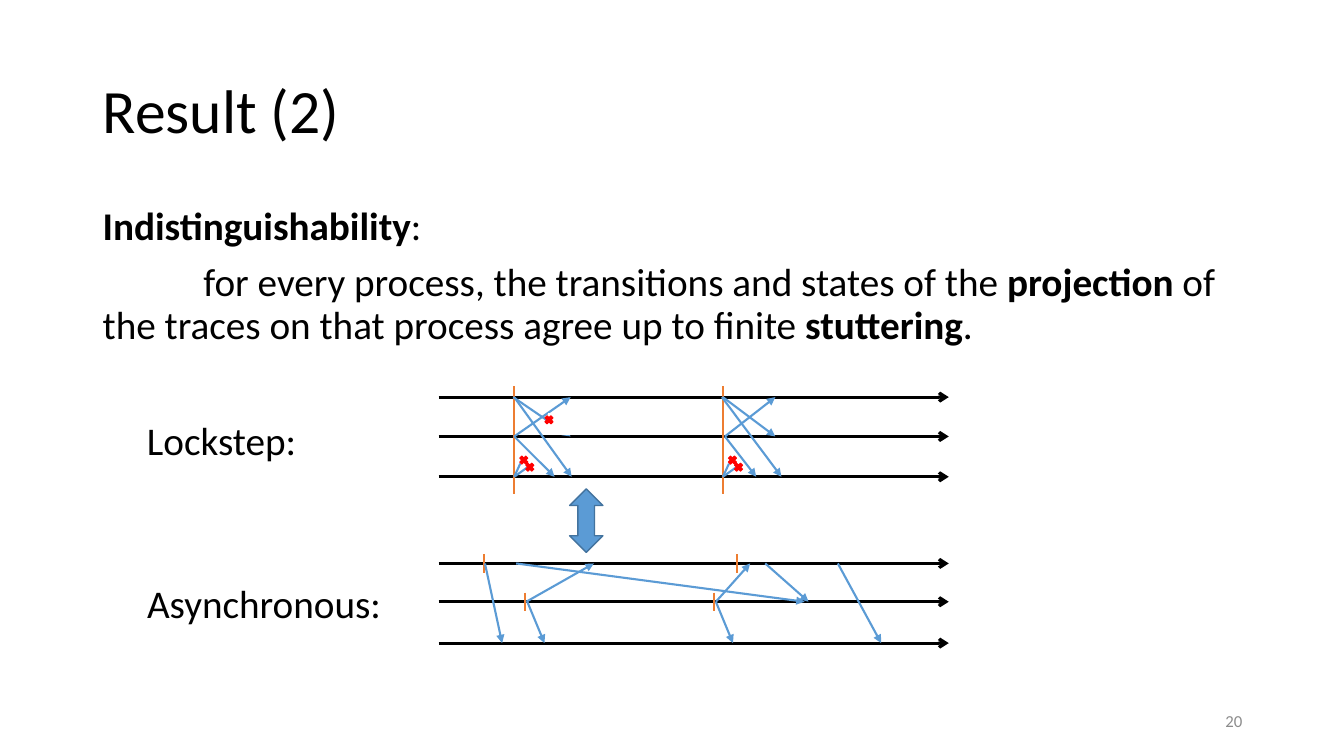
from lxml import etree
from pptx import Presentation
from pptx import util as u
from pptx.dml.color import RGBColor
from pptx.enum import shapes, text
from pptx.oxml.ns import qn

# Content: each paragraph is a list of (wording, bold)
TITLE = [[("Result (2)", False)]]
BODY = [
    [("Indistinguishability", True), (":", False)],
    [("for every process, the transitions and states of the ", False),
     ("projection", True),
     (" of the traces on that process agree up to finite ", False),
     ("stuttering", True), (".", False)],
]
NUMBER = [[("20", False)]]
LABELS = [("Lockstep:", 4.08, 1.7), ("Asynchronous:", 5.7, 2.55)]

BLACK, GREY, WHITE, RED = "000000", "8C8C8C", "FFFFFF", "FF0000"
BLUE, DARK_BLUE, ORANGE = "5B9BD5", "43739E", "ED7D31"

# Height of the three process lines in each diagram
LOCKSTEP, ASYNC = (3.94, 4.33, 4.73), (5.59, 5.97, 6.38)
LINE_START, LINE_LENGTH = 4.35, 5.06
ROUNDS = (5.1, 7.17)

# Messages: start x, sending process, end x, receiving process
LOCKSTEP_MESSAGES = [
    (5.1, 0, 5.67, 2), (5.1, 1, 5.66, 0), (5.1, 1, 5.5, 2), (5.09, 0, 5.66, 1),
    (7.16, 0, 7.75, 2), (7.19, 1, 7.69, 0), (7.19, 1, 7.5, 2), (7.17, 0, 7.69, 1),
]
ASYNC_MESSAGES = [
    (4.81, 0, 4.98, 2), (5.12, 0, 7.98, 1), (5.23, 1, 5.4, 2), (5.22, 1, 5.89, 0),
    (7.1, 1, 7.27, 2), (7.1, 1, 7.44, 0), (7.59, 0, 8.02, 1), (8.31, 0, 8.74, 2),
]
ASYNC_TICKS = [(4.8, 0), (5.21, 1), (7.31, 0), (7.08, 1)]
TICK = 0.09
CROSS = 0.11
# Lost messages: end of the stub and corner of the cross, from the sender
LOST = [((0.06, -0.13), (0.04, -0.22)), ((0.14, -0.1), (0.1, -0.15))]

deck = Presentation()
deck.slide_width, deck.slide_height = u.Inches(13.33), u.Inches(7.5)
page = deck.slides.add_slide(deck.slide_layouts[6])


def color(value):
    return RGBColor.from_string(value)


def apply(target, values):
    for name, value in values.items():
        setattr(target, name, value)


def add_text(place, content, size, fill=BLACK, frame_format=None, **para_format):
    box = page.shapes.add_textbox(*map(u.Inches, place))
    frame = box.text_frame
    apply(frame, {"word_wrap": True, **(frame_format or {})})
    for index, spans in enumerate(content):
        para = frame.add_paragraph() if index else frame.paragraphs[0]
        apply(para, para_format)
        for wording, bold in spans:
            span = para.add_run()
            span.text = wording
            apply(span.font, {"size": u.Pt(size), "name": "Calibri", "bold": bold})
            span.font.color.rgb = color(fill)
    return frame


def add_line(start, end, stroke, width=1.5, head=None):
    line = page.shapes.add_connector(
        shapes.MSO_CONNECTOR.STRAIGHT, *map(u.Inches, (*start, *end)))
    line.line.color.rgb = color(stroke)
    line.line.width = u.Pt(width)
    properties = line.line._get_or_add_ln()
    if head:
        etree.SubElement(properties, qn("a:tailEnd"), type=head)
    etree.SubElement(line._element.spPr, qn("a:effectLst"))


def add_shape(kind, place, fill, stroke):
    shape = page.shapes.add_shape(kind, *map(u.Inches, place))
    shape.shadow.inherit = False
    shape.fill.solid()
    shape.fill.fore_color.rgb = color(fill)
    shape.line.color.rgb = color(stroke)
    shape.line.width = u.Pt(1)


def add_cross(left, top):
    add_shape(shapes.MSO_SHAPE.MATH_MULTIPLY, (left, top, CROSS, CROSS), RED, RED)


def add_processes(rows):
    for row in rows:
        add_line((LINE_START, row), (LINE_START + LINE_LENGTH, row), BLACK, 2.25, "arrow")


def add_messages(messages, rows):
    for start, sender, end, receiver in messages:
        add_line((start, rows[sender]), (end, rows[receiver]), BLUE, head="triangle")


# Text
middle = {"vertical_anchor": text.MSO_ANCHOR.MIDDLE}
add_text((0.92, 0.4, 11.5, 1.45), TITLE, 44, frame_format=middle, line_spacing=0.9)
body = add_text((0.92, 2, 11.5, 4.76), BODY, 28, line_spacing=0.9, space_before=u.Pt(10))
body.paragraphs[1]._p.get_or_add_pPr().set("indent", str(u.Inches(1)))
add_text((9.42, 6.95, 3, 0.4), NUMBER, 12, GREY, middle, alignment=text.PP_ALIGN.RIGHT)
for label, top, width in LABELS:
    add_text((1.36, top, width, 0.57), [[(label, False)]], 28,
             frame_format={"word_wrap": False, "auto_size": text.MSO_AUTO_SIZE.SHAPE_TO_FIT_TEXT})

# Lockstep diagram
add_processes(LOCKSTEP)
for x in ROUNDS:
    add_line((x, LOCKSTEP[0] - 0.11), (x, LOCKSTEP[2] + 0.17), ORANGE)
add_messages(LOCKSTEP_MESSAGES, LOCKSTEP)
add_shape(shapes.MSO_SHAPE.RECTANGLE, (5.44, 4.1, 0.33, 0.21), WHITE, WHITE)
add_cross(5.39, 4.11)
for x in ROUNDS:
    for (dx, dy), _ in LOST:
        add_line((x, LOCKSTEP[2]), (x + dx, LOCKSTEP[2] + dy), BLUE)
    for _, (dx, dy) in LOST:
        add_cross(x + dx, LOCKSTEP[2] + dy)

# Asynchronous diagram
add_processes(ASYNC)
for x, process in ASYNC_TICKS:
    add_line((x, ASYNC[process] - TICK), (x, ASYNC[process] + TICK), ORANGE)
add_messages(ASYNC_MESSAGES, ASYNC)

# Equivalence arrow
add_shape(shapes.MSO_SHAPE.UP_DOWN_ARROW, (5.65, 4.85, 0.33, 0.63), BLUE, DARK_BLUE)

deck.save("out.pptx")
